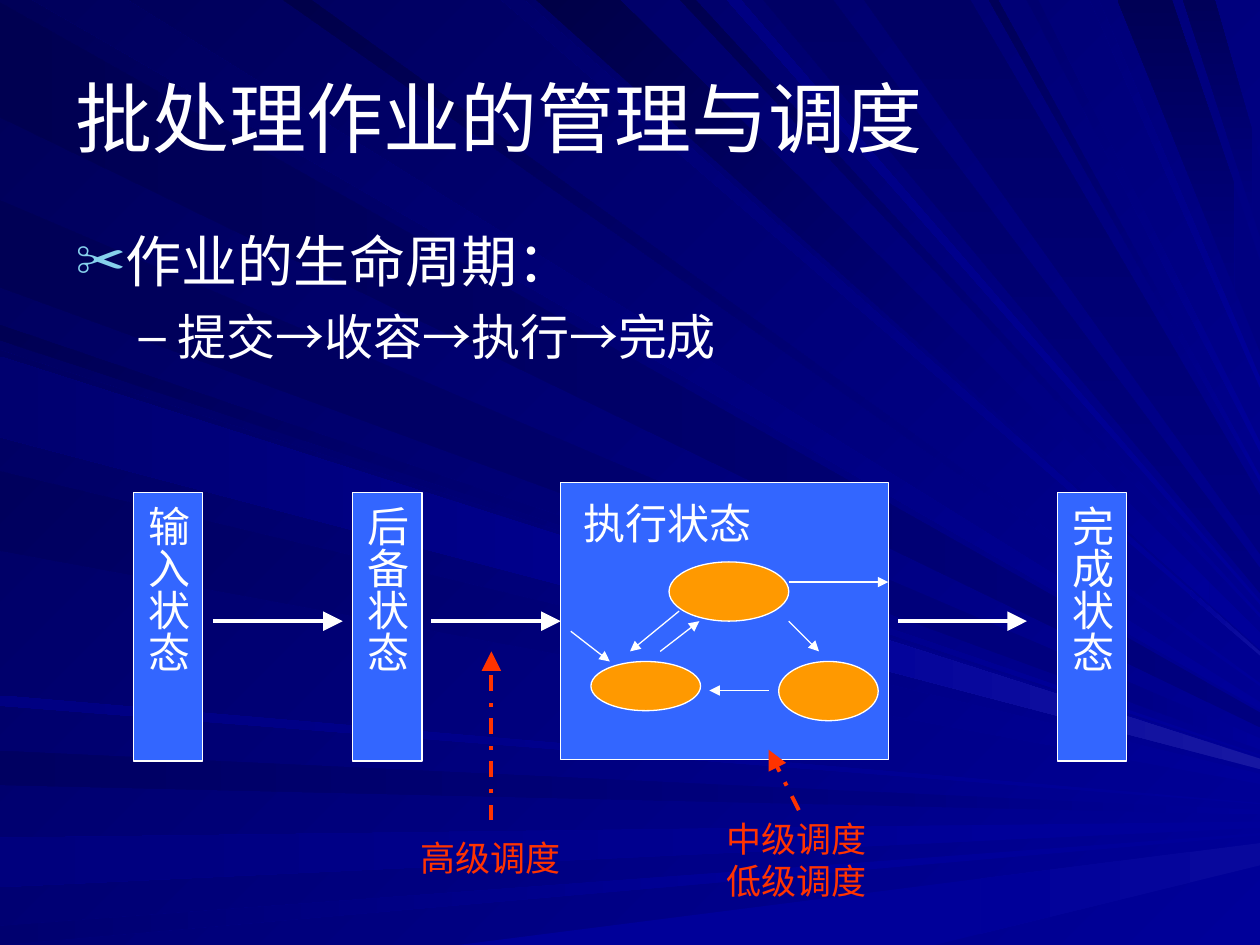
from dataclasses import dataclass

from pptx import Presentation
from pptx.dml.color import RGBColor as Rgb
from pptx.enum.dml import MSO_LINE as Dash
from pptx.enum.shapes import MSO_CONNECTOR as Conn, MSO_SHAPE as Shape
from pptx.enum.text import MSO_ANCHOR as Anchor, MSO_AUTO_SIZE as Fit, PP_ALIGN as Align
from pptx.oxml.ns import qn
from pptx.util import Inches, Pt
from lxml.etree import SubElement as Sub


@dataclass(frozen=True)
class Theme:
    font: str = "Arial"
    text: str = "FFFFFF"
    box: str = "3366FF"
    oval: str = "FF9900"
    alert: str = "FF3300"
    mark: str = "86D1EC"
    light: str = "000099"
    mid: str = "000080"
    dark: str = "000058"
    title: int = 44
    head: int = 32
    sub: int = 28
    state: int = 24
    note: int = 20
    thin: float = 0.75
    bold: float = 2.25


T = Theme()
WIDE, HIGH = 10, 7.5

# Content
TITLE = "批处理作业的管理与调度"
# text, size, left indent, hanging, space before, bullet, bullet colour, bullet percent
LIST = [
    ("作业的生命周期：", T.head, 0.38, 0.38, 0, "✂", T.mark, 90),
    ("提交→收容→执行→完成", T.sub, 0.81, 0.31, 7, "–", T.text, 100),
]
STATES = [("输入状态", 1.06), ("后备状态", 2.8), ("完成状态", 8.39)]
STATE_TOP, STATE_W, STATE_H = 3.91, 0.55, 2.13
RUN = (4.45, 3.83, 2.6, 2.2)
OVALS = [(5.31, 4.46, 0.95, 0.47), (4.69, 5.25, 0.87, 0.39), (6.18, 5.25, 0.79, 0.47)]
# text, place, size, colour, alignment
LABELS = [
    ("执行状态", (4.53, 3.9, 1.65, 0.5), T.state, T.text, Align.LEFT),
    ("高级调度", (3.11, 6.59, 1.57, 0.44), T.note, T.alert, Align.CENTER),
    ("中级调度低级调度", (5.54, 6.44, 1.57, 0.77), T.note, T.alert, Align.CENTER),
]
FLOW_Y = 4.93
FLOWS = [(1.69, 2.72), (3.42, 4.45), (7.13, 8.15)]
MOVES = [
    (5.24, 5.17, 5.55, 4.93), (5.39, 4.85, 5, 5.17), (6.26, 4.93, 6.5, 5.17),
    (6.1, 5.48, 5.63, 5.48), (4.53, 5.01, 4.84, 5.25), (6.26, 4.62, 7.05, 4.62),
]
CALLS = [(3.9, 6.51, 3.9, 5.17), (6.34, 6.43, 6.1, 5.95)]

# Rays run from a span of a slide edge toward one hub beyond the right edge.
HUB = (11.5, 6.5)
EDGES = {
    "left": lambda pos: (0, pos),
    "top": lambda pos: (pos, 0),
    "bottom": lambda pos: (pos, HIGH),
}
# Each way to shade a ray: light colour and clockwise angle
WAYS = {"flat": (T.light, 180), "dim": (T.mid, 180),
        "slant": (T.light, 225), "drop": (T.mid, 270)}
# edge, span, way, blue of the dark end, then for a two-part ray: cut and tail colour
RAYS = [
    ("left", 0.02, 0.93, "dim", 0x51),
    ("top", 0.26, 1.01, "slant", 0x5D),
    ("left", 5.96, 6.23, "dim", 0x61, 7.01, T.light),
    ("left", 6.65, 7.04, "flat", 0x7D, 8.31, T.light),
    ("left", 7.35, 7.5, "flat", 0x6F, 6.28, T.light),
    ("bottom", 3.64, 7.42, "flat", 0x99, 7.78, "08089C"),
    ("left", 2.58, 2.7, "slant", 0x53, 8.73, T.light),
    ("left", 1.59, 2.28, "dim", 0x55, 8.73, T.light),
    ("top", 3.98, 4.16, "slant", 0x6B, 9.45, "0F0F9F"),
    ("top", 4.26, 4.92, "slant", 0x47, 9.6, T.light),
    ("top", 5.4, 5.52, "slant", 0x4F),
    ("top", 6.06, 6.61, "drop", 0x65),
    ("top", 8.87, 9.3, "drop", 0x55, 9.8, T.mid),
    ("top", 9.39, 9.64, "drop", 0x59, 9.94, T.mid),
    ("left", 2.78, 3.42, "slant", 0x61),
    ("left", 3.74, 4.37, "slant", 0x5D),
    ("left", 5.52, 5.6, "flat", 0x82),
    ("top", 2.25, 2.47, "slant", 0x4A),
    ("top", 5.77, 5.88, "slant", 0x82),
    ("top", 6.86, 7.7, "drop", 0x65),
    ("top", 7.85, 7.92, "slant", 0x58),
    ("top", 8.15, 8.24, "slant", 0x6F),
    ("top", 8.65, 8.72, "slant", 0x79),
    ("left", 2.83, 3.47, "flat", 0x6F, 6.35, "1717A2"),
]

prs = Presentation()
prs.slide_width, prs.slide_height = Inches(WIDE), Inches(HIGH)
slide = prs.slides.add_slide(prs.slide_layouts[1])
shapes = slide.shapes


def solid(fill, tint):
    fill.solid()
    fill.fore_color.rgb = Rgb.from_string(tint)


def blend(fill, start, end, turn):
    if start == end:
        return solid(fill, start)
    fill.gradient()
    fill.gradient_angle = 360 - turn
    for stop, tint in zip(fill.gradient_stops, (start, end)):
        stop.color.rgb = Rgb.from_string(tint)


def toward(start, x):
    """Point at x on the line from start to the hub."""
    part = (x - start[0]) / (HUB[0] - start[0])
    return x, start[1] + part * (HUB[1] - start[1])


def band(near, far, start, end, turn):
    """Four-sided piece of a ray between its near and far pair of points."""
    dots = [tuple(map(Inches, dot)) for dot in (near[0], near[1], far[1], far[0])]
    pen = shapes.build_freeform(*dots[0], scale=1.0)
    pen.add_line_segments(dots[1:], close=True)
    piece = pen.convert_to_shape()
    piece.shadow.inherit = False
    piece.line.fill.background()
    blend(piece.fill, start, end, turn)


def beam(edge, first, last, way, blue, cut=WIDE, tail=None):
    near = [EDGES[edge](pos) for pos in (first, last)]
    middle = [toward(dot, cut) for dot in near]
    light, turn = WAYS[way]
    band(near, middle, light, f"0000{blue:02X}", turn)
    if tail:
        band(middle, [toward(dot, WIDE) for dot in near], tail, light, turn)


def style(par, size, tint=T.text, align=Align.LEFT, gap=0):
    par.alignment, par.space_before = align, Pt(gap)
    par.font.name, par.font.size = T.font, Pt(size)
    par.font.color.rgb = Rgb.from_string(tint)


def place(item, left, top, width, height):
    item.left, item.top = Inches(left), Inches(top)
    item.width, item.height = Inches(width), Inches(height)


def block(kind, spot, tint):
    item = shapes.add_shape(kind, *map(Inches, spot))
    item.shadow.inherit = False
    solid(item.fill, tint)
    item.line.color.rgb = Rgb.from_string(T.text)
    item.line.width = Pt(T.thin)
    return item


def arrow(ends, tint, width, head="lg", dash=None):
    item = shapes.add_connector(Conn.STRAIGHT, *map(Inches, ends))
    item.line.color.rgb = Rgb.from_string(tint)
    item.line.width = Pt(width)
    if dash:
        item.line.dash_style = dash
    Sub(item.line._get_or_add_ln(), qn("a:tailEnd"), type="triangle", w=head, len=head)
    Sub(item._element.spPr, qn("a:effectLst"))
    return item


# Background
blend(slide.background.fill, T.light, T.dark, 225)
for ray in RAYS:
    beam(*ray)

# Title and list, in front of the rays
title, body = shapes.title, slide.placeholders[1]
for item in (title, body):
    shapes._spTree.append(item._element)
    item.text_frame.auto_size = Fit.NONE
place(title, 0.5, 0.3, 9, 1.25)
title.text_frame.text = TITLE
title.text_frame.vertical_anchor = Anchor.MIDDLE
style(title.text_frame.paragraphs[0], T.title)

place(body, 0.5, 1.75, 9, 1.29)
body.text_frame.text = "\n".join(row[0] for row in LIST)
for level, (par, row) in enumerate(zip(body.text_frame.paragraphs, LIST)):
    _, size, left, hang, gap, sign, tint, scale = row
    par.level = level
    props = par._p.get_or_add_pPr()
    props.set("marL", str(Inches(left)))
    props.set("indent", str(-Inches(hang)))
    Sub(Sub(props, qn("a:buClr")), qn("a:srgbClr"), val=tint)
    Sub(props, qn("a:buSzPct"), val=str(scale * 1000))
    Sub(props, qn("a:buChar"), char=sign)
    style(par, size, gap=gap)

# States
for text, left in STATES:
    frame = block(Shape.RECTANGLE, (left, STATE_TOP, STATE_W, STATE_H), T.box).text_frame
    frame.text, frame.word_wrap = text, True
    frame.vertical_anchor = Anchor.MIDDLE
    frame.margin_left = frame.margin_right = Inches(0.05)
    frame.margin_top = frame.margin_bottom = Inches(0.1)
    frame._txBody.bodyPr.set("vert", "eaVert")
    style(frame.paragraphs[0], T.state, align=Align.CENTER)
run = block(Shape.RECTANGLE, RUN, T.box)
for spot in OVALS:
    block(Shape.OVAL, spot, T.oval)

# Labels
for text, spot, size, tint, align in LABELS:
    frame = shapes.add_textbox(*map(Inches, spot)).text_frame
    frame.text, frame.word_wrap = text, True
    style(frame.paragraphs[0], size, tint, align)

# Arrows
flows = [arrow((a, FLOW_Y, b, FLOW_Y), T.text, T.bold) for a, b in FLOWS]
flows[1].end_connect(run, 1)
for ends in MOVES:
    arrow(ends, T.text, T.thin, head="med")
for ends in CALLS:
    arrow(ends, T.alert, T.bold, dash=Dash.DASH_DOT)

prs.save("out.pptx")
